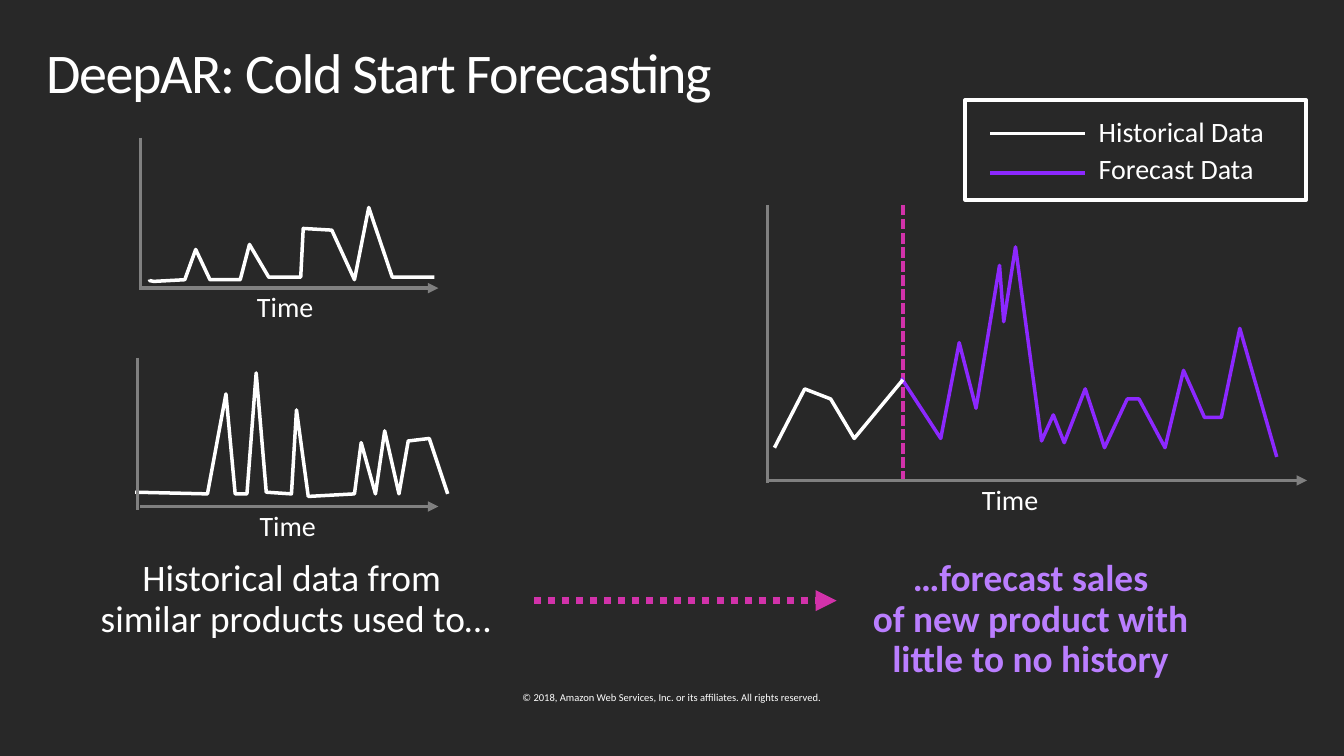
import pptx
import pptx.util
from pptx.dml.color import RGBColor
from pptx.enum.dml import MSO_LINE
from pptx.enum.shapes import MSO_CONNECTOR, MSO_SHAPE
from pptx.enum.text import MSO_ANCHOR, MSO_AUTO_SIZE, PP_ALIGN
from pptx.oxml.ns import qn
from pptx.util import Inches

BACKGROUND = RGBColor(0x28, 0x28, 0x28)
WHITE = RGBColor(0xFF, 0xFF, 0xFF)
GRAY = RGBColor(0x80, 0x80, 0x80)
PINK = RGBColor(0xD2, 0x32, 0xAA)
PURPLE = RGBColor(0x8C, 0x28, 0xFF)
LILAC = RGBColor(0xBA, 0x7E, 0xFF)
FONT = "Calibri"

# Points of each series, in inches on the slide
FIRST_PRODUCT = [
    (1.78, 3.33), (1.78, 3.34), (1.83, 3.35), (2.2, 3.33), (2.33, 2.97),
    (2.5, 3.33), (2.86, 3.33), (2.97, 2.91), (3.2, 3.3), (3.58, 3.3),
    (3.61, 2.72), (3.95, 2.74), (4.22, 3.33), (4.39, 2.47), (4.67, 3.3),
    (5.17, 3.3)]
SECOND_PRODUCT = [
    (1.61, 5.86), (2.47, 5.88), (2.69, 4.69), (2.8, 5.88), (2.94, 5.88),
    (3.05, 4.44), (3.17, 5.86), (3.47, 5.88), (3.53, 4.88), (3.67, 5.91),
    (4.22, 5.88), (4.3, 5.27), (4.47, 5.88), (4.58, 5.13), (4.75, 5.88),
    (4.86, 5.25), (5.11, 5.22), (5.33, 5.88)]
FORECAST = [
    (10.73, 4.5), (11.2, 5.22), (11.42, 4.08), (11.62, 4.86), (11.9, 3.16),
    (11.95, 3.83), (12.09, 2.94), (12.4, 5.25), (12.54, 4.94), (12.67, 5.27),
    (12.92, 4.63), (13.15, 5.33), (13.42, 4.75), (13.56, 4.75), (13.87, 5.33),
    (14.09, 4.41), (14.34, 4.97), (14.54, 4.97), (14.76, 3.91), (15.2, 5.44)]
NEW_PRODUCT = [
    (9.22, 5.33), (9.58, 4.63), (9.89, 4.75), (10.17, 5.22), (10.75, 4.52)]


def write_text(shape, text, size=24, color=WHITE, bold=False,
               align=PP_ALIGN.LEFT, line_spacing=0.9, space_after=18,
               insets=(0.2, 0.16), wrap=False, tracking=None,
               auto_size=MSO_AUTO_SIZE.SHAPE_TO_FIT_TEXT):
    frame = shape.text_frame
    frame.word_wrap = wrap
    frame.auto_size = auto_size
    frame.vertical_anchor = MSO_ANCHOR.TOP
    frame.margin_left = frame.margin_right = Inches(insets[0])
    frame.margin_top = frame.margin_bottom = Inches(insets[1])
    paragraph = frame.paragraphs[0]
    paragraph.text = text
    paragraph.alignment = align
    paragraph.line_spacing = line_spacing
    paragraph.space_before = pptx.util.Pt(0)
    paragraph.space_after = pptx.util.Pt(space_after)
    for run in paragraph.runs:
        run.font.name = FONT
        run.font.size = pptx.util.Pt(size)
        run.font.bold = bold
        run.font.color.rgb = color
        if tracking is not None:
            run.font._element.set("spc", str(tracking))


def add_text(slide, text, left, top, width, height, **text_format):
    box = slide.shapes.add_textbox(
        Inches(left), Inches(top), Inches(width), Inches(height))
    write_text(box, text, **text_format)


def add_line(slide, start, end, color, width=3, dash=None, arrow=False):
    connector = slide.shapes.add_connector(
        MSO_CONNECTOR.STRAIGHT, Inches(start[0]), Inches(start[1]),
        Inches(end[0]), Inches(end[1]))
    connector.line.color.rgb = color
    connector.line.width = pptx.util.Pt(width)
    if dash is not None:
        connector.line.dash_style = dash
    if arrow:
        line = connector.line._get_or_add_ln()
        tail = line.makeelement(qn("a:tailEnd"), {"type": "triangle"})
        line.append(tail)
    properties = connector._element.spPr
    properties.append(properties.makeelement(qn("a:effectLst"), {}))


def outline(shape, color):
    shape.fill.background()
    shape.line.color.rgb = color
    shape.line.width = pptx.util.Pt(3)
    shape.shadow.inherit = False


def add_series(slide, points, color):
    corners = [(Inches(x), Inches(y)) for x, y in points]
    builder = slide.shapes.build_freeform(*corners[0])
    builder.add_line_segments(corners[1:], close=False)
    outline(builder.convert_to_shape(), color)


def add_axes(slide, x, top, bottom, base, start, end, label):
    add_line(slide, (start, base), (end, base), GRAY, arrow=True)
    add_line(slide, (x, top), (x, bottom), GRAY)
    add_text(slide, "Time", *label, 1.16, 0.69)


def add_legend(slide):
    entries = [("Historical Data", WHITE, 1.25, 1.59, 2.65),
               ("Forecast Data", PURPLE, 1.69, 2.06, 2.49)]
    for text, color, text_top, line_y, width in entries:
        add_text(slide, text, 12.88, text_top, width, 0.69)
        add_line(slide, (11.79, line_y), (12.92, line_y), color)
    frame = slide.shapes.add_shape(
        MSO_SHAPE.RECTANGLE, Inches(11.49), Inches(1.19),
        Inches(4.06), Inches(1.19))
    outline(frame, WHITE)


def add_title(slide, text):
    title = slide.shapes.title
    title.left, title.top = Inches(0.35), Inches(0.38)
    title.width, title.height = Inches(15.3), Inches(1.18)
    write_text(title, text, size=48, space_after=0, wrap=True, tracking=-120,
               auto_size=MSO_AUTO_SIZE.NONE)


def main():
    presentation = pptx.Presentation()
    presentation.slide_width = Inches(16)
    presentation.slide_height = Inches(9)
    slide = presentation.slides.add_slide(presentation.slide_layouts[5])
    slide.background.fill.solid()
    slide.background.fill.fore_color.rgb = BACKGROUND

    add_title(slide, "DeepAR: Cold Start Forecasting")

    # Start of the forecast
    add_line(slide, (10.75, 2.44), (10.75, 5.75), PINK,
             dash=MSO_LINE.SQUARE_DOT)

    # Series
    for points, color in [(FIRST_PRODUCT, WHITE), (SECOND_PRODUCT, WHITE),
                          (FORECAST, PURPLE), (NEW_PRODUCT, WHITE)]:
        add_series(slide, points, color)

    # Axes
    add_axes(slide, 1.67, 1.64, 3.45, 3.43, 1.67, 5.22, (2.86, 3.33))
    add_axes(slide, 1.64, 4.26, 6.07, 6.03, 1.67, 5.22, (2.89, 5.94))
    add_axes(slide, 9.14, 2.44, 5.75, 5.72, 9.14, 15.56, (11.49, 5.63))

    add_legend(slide)

    # Captions and the arrow between them
    add_text(slide, "Historical data from \vsimilar products used to…",
             0.66, 6.5, 5.73, 1.29, size=32, align=PP_ALIGN.CENTER)
    add_line(slide, (6.36, 7.15), (9.96, 7.15), PINK, width=6,
             dash=MSO_LINE.ROUND_DOT, arrow=True)
    add_text(slide,
             "…forecast sales\vof new product with\vlittle to no history",
             10.01, 6.5, 4.52, 1.78, size=32, color=LILAC, bold=True,
             align=PP_ALIGN.CENTER)

    # Copyright line
    add_text(slide, "© 2018, Amazon Web Services, Inc. or its affiliates. "
             "All rights reserved.", 5.83, 8.23, 4.33, 0.15, size=9,
             align=PP_ALIGN.CENTER, line_spacing=1, space_after=0,
             insets=(0, 0), wrap=True)

    presentation.save("out.pptx")


if __name__ == "__main__":
    main()
